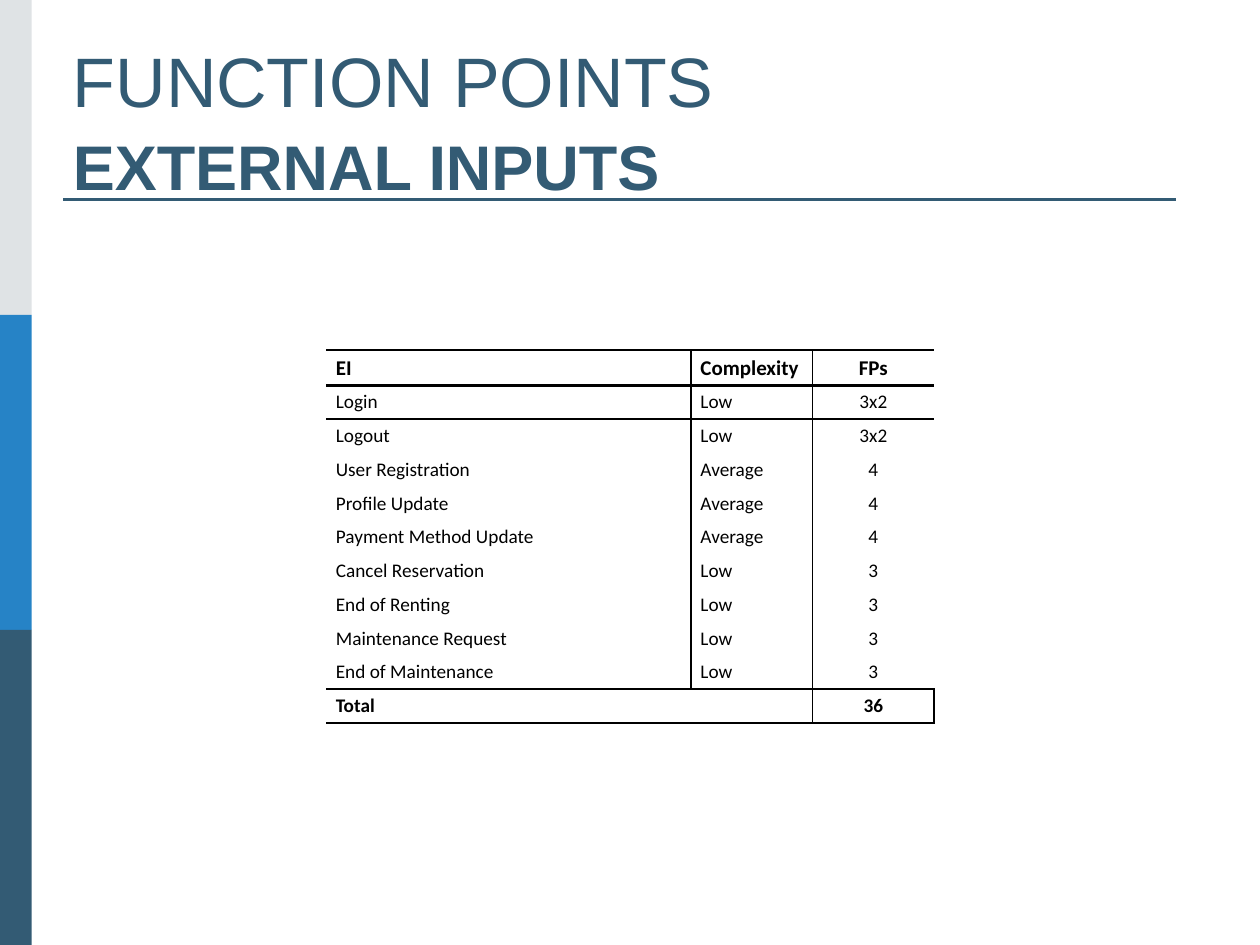
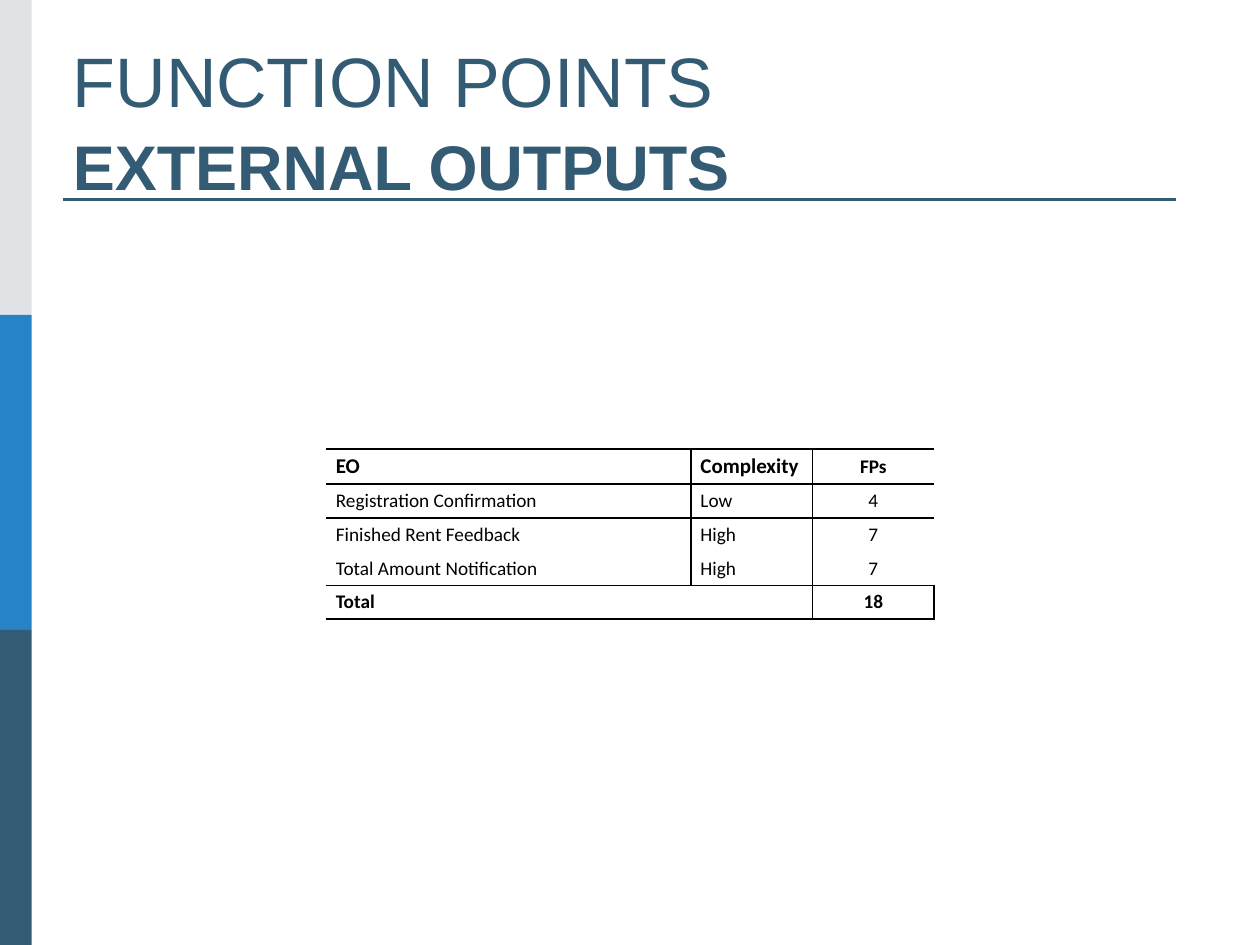
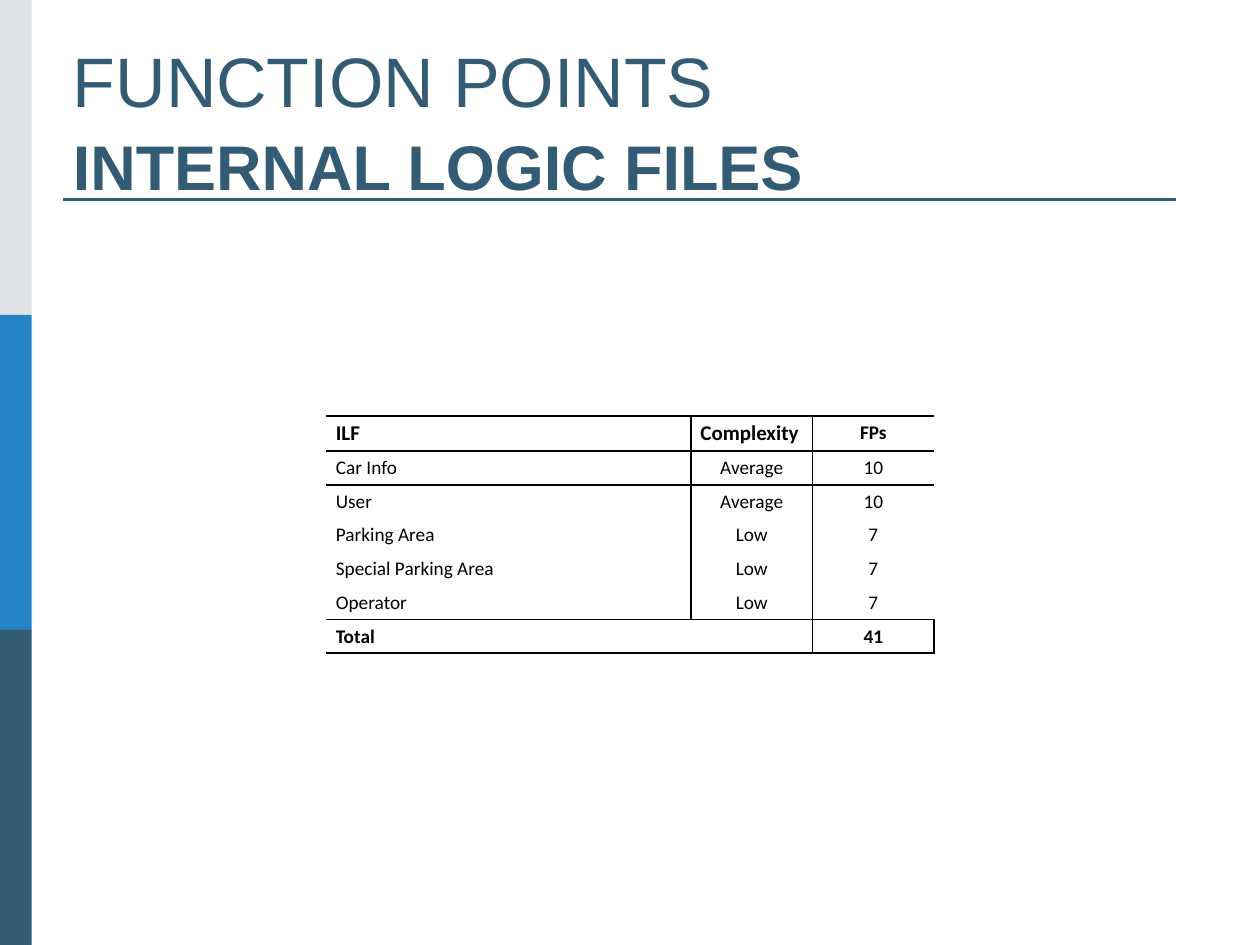
import pptx
import pptx.dml.color
import pptx.enum.shapes
import pptx.enum.text
import pptx.oxml
import pptx.oxml.ns
import pptx.util

Cm = pptx.util.Cm
Pt = pptx.util.Pt
ALIGN = pptx.enum.text.PP_ALIGN
NAVY, BLUE, GREY, BLACK = "335B74", "2683C6", "DFE3E5", "000000"
PLAIN = "{2D5ABB26-0587-4C30-8999-92F81FD0307C}"  # no style, no grid
HEAD, ROW = 0.71, 0.68
WIDTHS = (7.35, 2.45, 2.45)

# subtitle, table top, size of the last heading, alignment of column 2, rows
SLIDES = [
    ("EXTERNAL INPUTS", 7.06, 12, ALIGN.LEFT, [
        ("EI", "Complexity", "FPs"),
        ("Login", "Low", "3x2"),
        ("Logout", "Low", "3x2"),
        ("User Registration", "Average", "4"),
        ("Profile Update", "Average", "4"),
        ("Payment Method Update", "Average", "4"),
        ("Cancel Reservation", "Low", "3"),
        ("End of Renting", "Low", "3"),
        ("Maintenance Request", "Low", "3"),
        ("End of Maintenance", "Low", "3"),
        ("Total", "", "36")]),
    ("EXTERNAL OUTPUTS", 9.05, 11, ALIGN.LEFT, [
        ("EO", "Complexity", "FPs"),
        ("Registration Confirmation", "Low", "4"),
        ("Finished Rent Feedback", "High", "7"),
        ("Total Amount Notification", "High", "7"),
        ("Total", "", "18")]),
    ("INTERNAL LOGIC FILES", 8.38, 11, ALIGN.CENTER, [
        ("ILF", "Complexity", "FPs"),
        ("Car Info", "Average", "10"),
        ("User", "Average", "10"),
        ("Parking Area", "Low", "7"),
        ("Special Parking Area", "Low", "7"),
        ("Operator", "Low", "7"),
        ("Total", "", "41")]),
]


def color(code):
    return pptx.dml.color.RGBColor.from_string(code)


def edge(cell, side, width):
    """Draw one cell border; call in the order L, R, T, B."""
    line = pptx.oxml.parse_xml(
        f'<a:ln{side} {pptx.oxml.ns.nsdecls("a")} w="{Pt(width)}">'
        f'<a:solidFill><a:srgbClr val="{BLACK}"/></a:solidFill></a:ln{side}>')
    cell._tc.get_or_add_tcPr().append(line)


deck = pptx.Presentation()
deck.slide_width, deck.slide_height = Cm(25.4), Cm(19.05)

for name, top, size, align, rows in SLIDES:
    slide = deck.slides.add_slide(deck.slide_layouts[6])
    shapes = slide.shapes

    # Side bands and title rule
    for i, tint in enumerate((GREY, BLUE, NAVY)):
        band = shapes.add_shape(pptx.enum.shapes.MSO_SHAPE.RECTANGLE,
                                0, Cm(6.35 * i), Cm(0.64), Cm(6.35))
        band.shadow.inherit = False
        band.fill.solid()
        band.fill.fore_color.rgb = color(tint)
        band.line.fill.background()
    rule = shapes.add_connector(pptx.enum.shapes.MSO_CONNECTOR.STRAIGHT,
                                Cm(1.27), Cm(4.02), Cm(23.7), Cm(4.02))
    rule.line.color.rgb = color(NAVY)
    rule.line.width = Pt(1.5)
    rule._element.spPr.append(pptx.oxml.parse_xml(
        f'<a:effectLst {pptx.oxml.ns.nsdecls("a")}/>'))

    # Title
    title = shapes.add_textbox(Cm(1.27), Cm(0.75), Cm(22.86), Cm(3.18))
    frame = title.text_frame
    frame.word_wrap = True
    frame.margin_left = Cm(0.2)
    frame.margin_top = frame.margin_bottom = 0
    frame.text = f"FUNCTION POINTS\n{name}"
    for para, points, bold in zip(frame.paragraphs, (40, 36), (False, True)):
        font = para.runs[0].font
        font.name, font.size, font.bold = "Arial", Pt(points), bold
        font.color.rgb = color(NAVY)
    frame.paragraphs[1].space_before = Pt(3.5)

    # Table
    last = len(rows) - 1
    holder = shapes.add_table(len(rows), 3, Cm(6.58), Cm(top),
                              Cm(sum(WIDTHS)), Cm(HEAD + ROW * last))
    table = holder.table
    table.first_row = table.horz_banding = False
    table._tbl.tblPr.find(pptx.oxml.ns.qn("a:tableStyleId")).text = PLAIN
    for col, width in zip(table.columns, WIDTHS):
        col.width = Cm(width)
    table.cell(last, 0).merge(table.cell(last, 1))
    lines = {0: 1.5, 1: 1.5, last: 1, last + 1: 1.5}

    for r, row in enumerate(rows):
        table.rows[r].height = Cm(ROW if r else HEAD)
        for c, text in enumerate(row):
            cell = table.cell(r, c)
            cell.margin_left = cell.margin_right = Cm(0.19)
            cell.margin_top = cell.margin_bottom = Cm(0.1)
            cell.vertical_anchor = pptx.enum.text.MSO_ANCHOR.MIDDLE
            if c == 2 or c == 1 and r < last:
                edge(cell, "L", 1)
            if c < 2:
                edge(cell, "R", 1)
            if r in lines:
                edge(cell, "T", lines[r])
            if r + 1 in lines:
                edge(cell, "B", lines[r + 1])
            cell.fill.background()
            if not text:
                continue
            para = cell.text_frame.paragraphs[0]
            para.text = text
            if c == 2:
                para.alignment = ALIGN.CENTER
            elif c == 1 and r:
                para.alignment = align
            font = para.runs[0].font
            font.name = "Calibri"
            font.size = Pt(11 if r else size if c == 2 else 12)
            font.bold = r in (0, last)
            font.color.rgb = color(BLACK)

deck.save("out.pptx")
